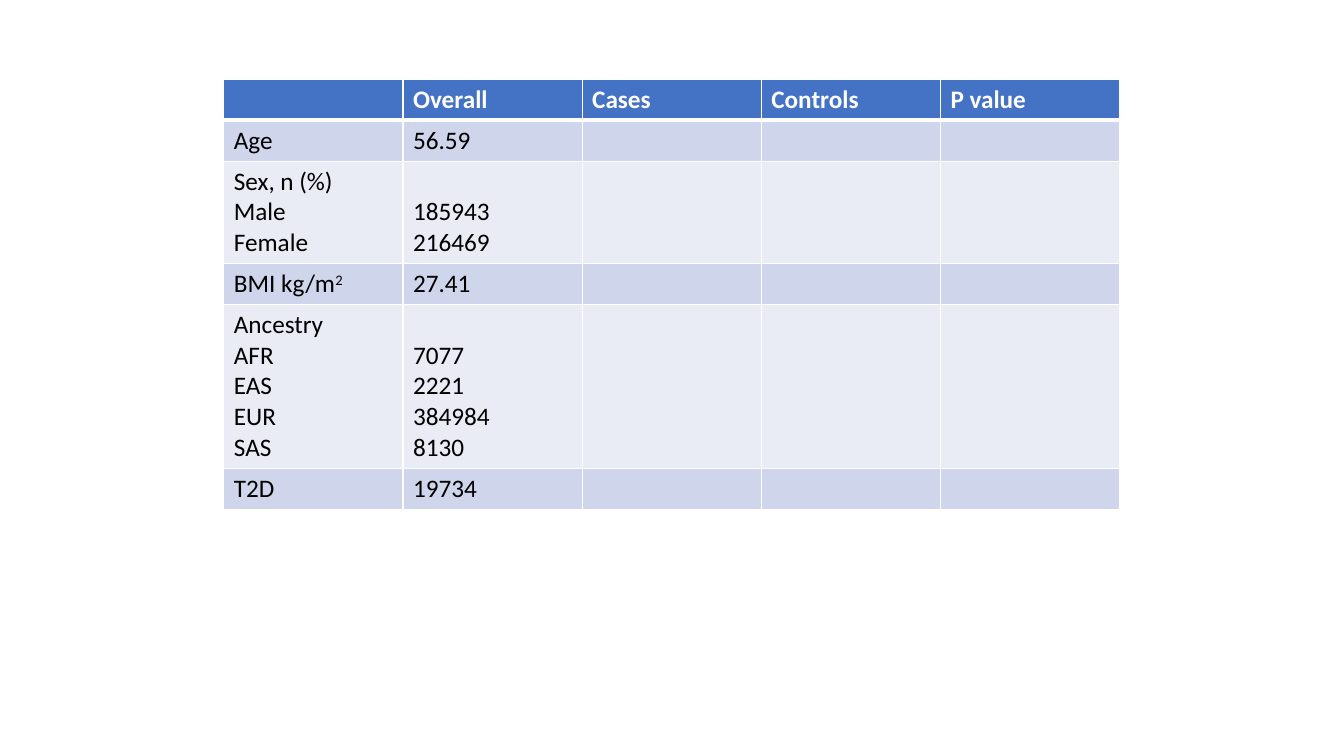
from lxml import etree
from pptx import Presentation
from pptx import util as u
from pptx.dml.color import RGBColor
from pptx.enum import text
from pptx.oxml.ns import qn

COLORS = {"header": "4472C4", "odd": "CFD5EA", "even": "E9EBF5",
          "white": "FFFFFF", "black": "000000"}
HEADINGS = ["", "Overall", "Cases", "Controls", "P value"]
# Each row: label lines, overall values; "^" starts a superscript
ROWS = [
    (["Age"], ["56.59"]),
    (["Sex, n (%)", "Male", "Female"], ["185943", "216469"]),
    (["BMI kg/m^2"], ["27.41"]),
    (["Ancestry", "AFR", "EAS", "EUR", "SAS"],
     ["7077", "2221", "384984", "8130"]),
    (["T2D"], ["19734"]),
]
LINE_H, MARGINS_H = 0.77, 0.26


def rgb(name):
    return RGBColor.from_string(COLORS[name])


def add_run(p, words, color, **fmt):
    r = p.add_run()
    r.text = words
    r.font.color.rgb = rgb(color)
    for key, value in {"name": "Calibri", "size": u.Pt(18), **fmt}.items():
        setattr(r.font, key, value)
    return r


def add_borders(cell, bottom):
    props = cell._tc.get_or_add_tcPr()
    widths = {"lnL": 1, "lnR": 1, "lnT": 1, "lnB": bottom}
    for i, (tag, width) in enumerate(widths.items()):
        line = etree.Element(qn("a:" + tag), w=str(u.Pt(width)))
        fill = etree.SubElement(line, qn("a:solidFill"))
        etree.SubElement(fill, qn("a:srgbClr"), val=COLORS["white"])
        props.insert(i, line)


def fill_cell(cell, lines, fill, color="black", bold=False, bottom=1):
    cell.fill.solid()
    cell.fill.fore_color.rgb = rgb(fill)
    add_borders(cell, bottom)
    tf = cell.text_frame
    for i, line in enumerate(lines):
        p = tf.add_paragraph() if i else tf.paragraphs[0]
        base, _, raised = line.partition("^")
        if base:
            add_run(p, base, color, bold=bold)
        if raised:
            r = add_run(p, raised, color, bold=bold)
            r._r.get_or_add_rPr().set("baseline", "30000")


def cohort_table(s, x, y, w):
    heights = [LINE_H * n + MARGINS_H
               for n in [1] + [len(labels) for labels, _ in ROWS]]
    table = s.shapes.add_table(len(heights), len(HEADINGS), u.Cm(x), u.Cm(y),
                               u.Cm(w), u.Cm(sum(heights))).table
    for row, height in zip(table.rows, heights):
        row.height = u.Cm(height)

    # Header
    for col, heading in enumerate(HEADINGS):
        fill_cell(table.cell(0, col), [heading], "header", "white", True, 3)

    # Body: values sit at the bottom, level with their labels
    for i, (labels, values) in enumerate(ROWS, 1):
        for col in range(len(HEADINGS)):
            lines = (labels, values)[col] if col < 2 else []
            fill_cell(table.cell(i, col), lines, "odd" if i % 2 else "even")
        table.cell(i, 1).vertical_anchor = text.MSO_ANCHOR.BOTTOM


prs = Presentation()
prs.slide_width, prs.slide_height = u.Cm(33.87), u.Cm(19.05)
s = prs.slides.add_slide(prs.slide_layouts[6])
cohort_table(s, 5.64, 2, 22.58)
prs.save("out.pptx")
